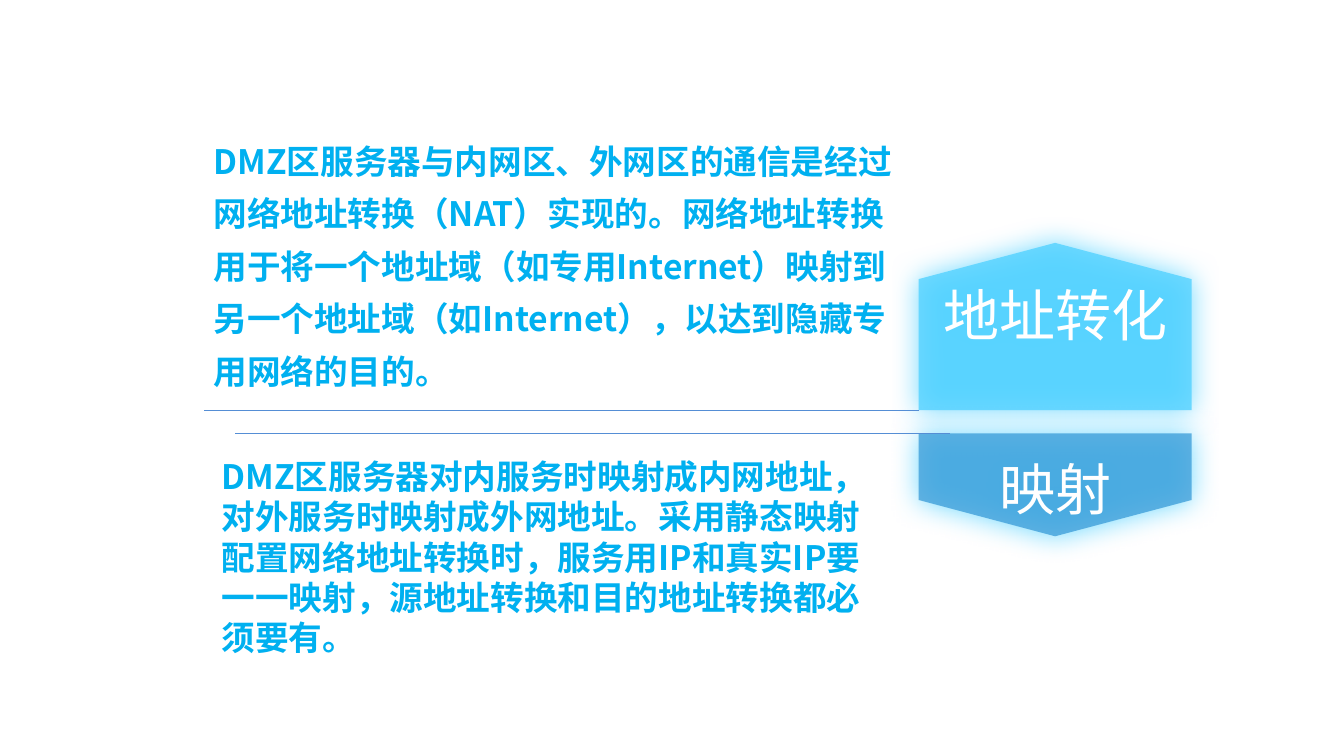
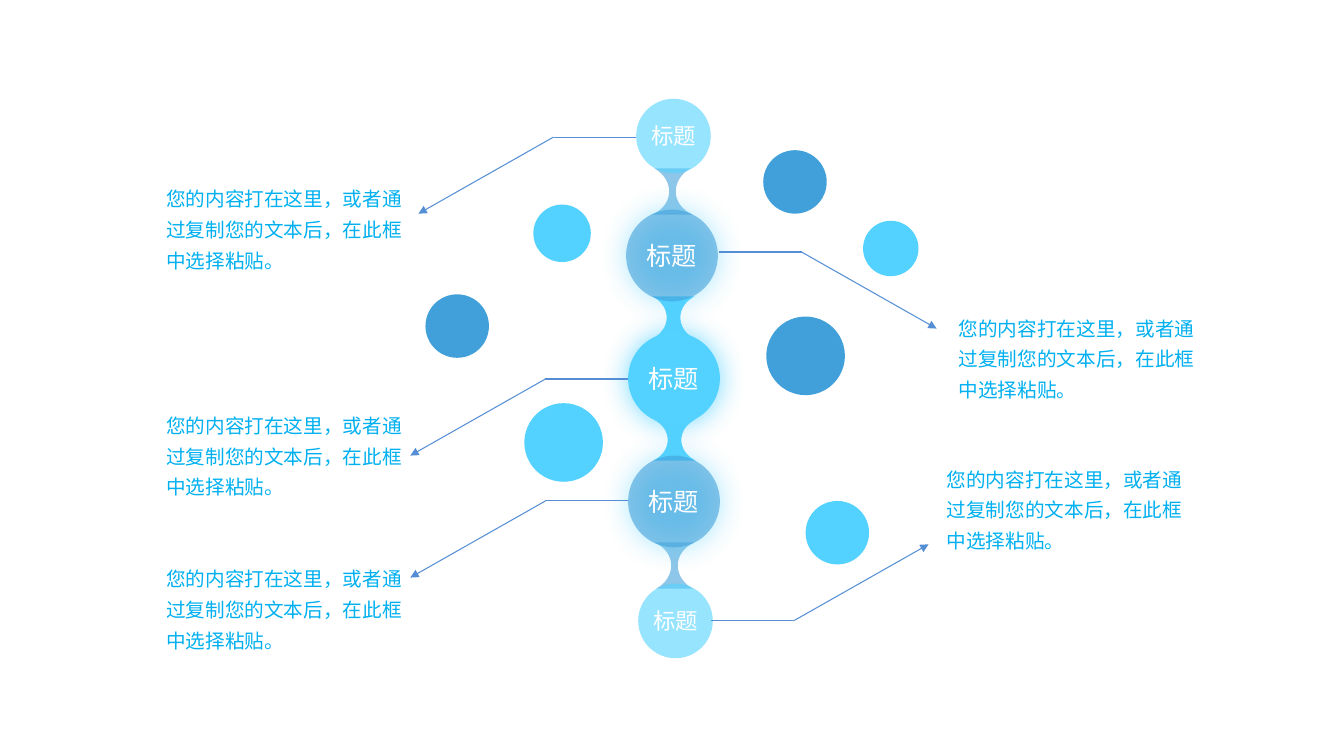
import pptx
import pptx.dml.color
import pptx.enum.lang
import pptx.enum.shapes
import pptx.enum.text
import pptx.oxml
import pptx.oxml.ns
import pptx.util
from dataclasses import dataclass

EMU_PER_PX = 9144
PAGE_SIZE = (1333, 750)


@dataclass(frozen=True)
class Theme:
    font: str = "Noto Sans CJK SC"
    light: str = "53D2FF"
    dark: str = "41A0DA"
    ink: str = "00B0F0"
    white: str = "FFFFFF"
    rule: str = "558ED5"
    rule_pt: float = 0.75
    glow_pt: int = 20
    glow_alpha: int = 80
    wedge_alpha: int = 80
    bead_alpha: int = 60
    wedge_size: int = 40
    wedge_line_pt: int = 15
    body_size: int = 24
    bead_size: int = 18
    end_bead_size: int = 16
    note_size: int = 14
    spacing: float = 1.3


THEME = Theme()
TOP = pptx.enum.text.MSO_ANCHOR.TOP
MIDDLE = pptx.enum.text.MSO_ANCHOR.MIDDLE

# Content, slide 1: text, box, line spacing, anchor
EXPLANATIONS = [
    ("DMZ区服务器与内网区、外网区的通信是经过网络地址转换（NAT）实现的。"
     "网络地址转换用于将一个地址域（如专用Internet）映射到另一个地址域"
     "（如Internet），以达到隐藏专用网络的目的。",
     (202, 123, 697, 270), THEME.spacing, TOP),
    ("DMZ区服务器对内服务时映射成内网地址，对外服务时映射成外网地址。"
     "采用静态映射配置网络地址转换时，服务用IP和真实IP要一一映射，"
     "源地址转换和目的地址转换都必须要有。",
     (210, 446, 665, 213), None, MIDDLE),
]
# Label, tint, flat edge y, shoulder y, tip y, text inset from the top
WEDGES = [
    ("地址转化", THEME.light, 407, 277, 241, 83),
    ("映射", THEME.dark, 430, 496, 532, 67),
]
WEDGE_LEFT, WEDGE_RIGHT = 911, 1182
RULES = [((911, 407), (202, 407)), ((942, 430), (233, 430))]

# Content, slide 2
BEAD_LABEL = "标题"
# Left, top, diameter, tint, alpha, type size, glow
BEADS = [
    (631, 98, 74, THEME.light, THEME.bead_alpha, THEME.end_bead_size, False),
    (621, 208, 91, THEME.dark, THEME.bead_alpha, THEME.bead_size, True),
    (623, 330, 91, THEME.light, None, THEME.bead_size, True),
    (623, 452, 91, THEME.dark, THEME.bead_alpha, THEME.bead_size, True),
    (633, 579, 74, THEME.light, THEME.bead_alpha, THEME.end_bead_size, False),
]
# Half width at the end of a neck, and of its control point
WIDE, TAPER, NARROW = (21, 2), (20, -3), (18, -1)
# Centre x, top, bottom, top end, bottom end, tint, alpha
NECKS = [
    (667, 167, 213, NARROW, TAPER, THEME.dark, THEME.bead_alpha),
    (668, 294, 336, WIDE, WIDE, THEME.light, None),
    (669, 416, 457, WIDE, WIDE, THEME.light, None),
    (669, 538, 584, TAPER, NARROW, THEME.dark, THEME.bead_alpha),
]
NECK_BEND = 0.23
# Left, top, diameter, tint
BUBBLES = [
    (760, 314, 78, THEME.dark),
    (520, 400, 78, THEME.light),
    (799, 497, 63, THEME.light),
    (529, 203, 57, THEME.light),
    (757, 149, 63, THEME.dark),
    (422, 292, 63, THEME.dark),
    (856, 219, 55, THEME.light),
]
# Start x, start y, direction across, direction down
LEADERS = [
    (623, 376, -1, 1),
    (713, 250, 1, 1),
    (623, 497, -1, 1),
    (705, 616, 1, -1),
    (631, 136, -1, 1),
]
LEADER_FLAT, LEADER_RUN, LEADER_DROP = 82, 134, 76
NOTE = "您的内容打在这里，或者通过复制您的文本后，在此框中选择粘贴。"
NOTE_SIZE = (267, 102)
NOTE_CORNERS = [(941, 302), (929, 452), (155, 551), (155, 399), (155, 174)]


# Shared drawing helpers
def px(length):
    return pptx.util.Emu(round(length * EMU_PER_PX))


def rgb(value):
    return pptx.dml.color.RGBColor.from_string(value)


def child(parent, tag, **attributes):
    element = pptx.oxml.parse_xml(f"<{tag} {pptx.oxml.ns.nsdecls('a')}/>")
    for name, value in attributes.items():
        element.set(name, str(value))
    parent.append(element)
    return element


def paint(shape, tint, alpha=None, glow=False):
    shape.fill.solid()
    shape.fill.fore_color.rgb = rgb(tint)
    shape.line.fill.background()
    shape.shadow.inherit = False
    properties = shape.element.spPr
    if alpha:
        color = properties.find(pptx.oxml.ns.qn("a:solidFill"))[0]
        child(color, "a:alpha", val=alpha * 1000)
    if glow:
        effects = properties.find(pptx.oxml.ns.qn("a:effectLst"))
        shadow = child(effects, "a:outerShdw", blurRad=pptx.util.Pt(THEME.glow_pt),
                       dist=0, dir=0, algn="ctr", rotWithShape=0)
        color = child(shadow, "a:srgbClr", val=THEME.light)
        child(color, "a:alpha", val=THEME.glow_alpha * 1000)


def write(shape, text, size, color, bold=False, spacing=None, anchor=TOP, centred=False):
    frame = shape.text_frame
    frame.word_wrap = True
    frame.vertical_anchor = anchor
    para = frame.paragraphs[0]
    align = pptx.enum.text.PP_ALIGN
    para.alignment = align.CENTER if centred else align.LEFT
    if spacing:
        para.line_spacing = spacing
    span = para.add_run()
    span.text = text
    span.font.size = pptx.util.Pt(size)
    span.font.bold = bold
    span.font.color.rgb = rgb(color)
    span.font.name = THEME.font
    span.font.language_id = pptx.enum.lang.MSO_LANGUAGE_ID.SIMPLIFIED_CHINESE
    child(span.font._element, "a:ea", typeface=THEME.font)
    return frame


def add_text(page, bounds, text, size, **style):
    box = page.shapes.add_textbox(*map(px, bounds))
    frame = write(box, text, size, THEME.ink, **style)
    frame.auto_size = pptx.enum.text.MSO_AUTO_SIZE.SHAPE_TO_FIT_TEXT


def add_line(shapes, start, end, arrow=False):
    connector = shapes.add_connector(pptx.enum.shapes.MSO_CONNECTOR.STRAIGHT,
                                     *map(px, (*start, *end)))
    connector.line.color.rgb = rgb(THEME.rule)
    connector.line.width = pptx.util.Pt(THEME.rule_pt)
    properties = connector._element.spPr
    if arrow:
        child(properties.find(pptx.oxml.ns.qn("a:ln")), "a:tailEnd", type="triangle")
    child(properties, "a:effectLst")


def add_outline(page, points):
    first, *rest = [(px(x), px(y)) for x, y in points]
    builder = page.shapes.build_freeform(*first, scale=1.0)
    builder.add_line_segments(rest, close=True)
    return builder.convert_to_shape()


def add_circle(page, left, top, diameter, tint, alpha=None, glow=False):
    circle = page.shapes.add_shape(pptx.enum.shapes.MSO_SHAPE.OVAL,
                                   *map(px, (left, top, diameter, diameter)))
    paint(circle, tint, alpha, glow)
    return circle


def add_neck(page, centre, top, bottom, top_end, bottom_end):
    """A four-cornered outline whose two sides are bent into cubic curves."""
    (top_half, top_pull), (bottom_half, bottom_pull) = top_end, bottom_end
    neck = add_outline(page, [(centre + top_half, top), (centre + bottom_half, bottom),
                              (centre - bottom_half, bottom), (centre - top_half, top)])
    bend = NECK_BEND * (bottom - top)
    upper, lower = (top_pull, top + bend), (bottom_pull, bottom - bend)
    edges = list(neck.element.spPr.iter(pptx.oxml.ns.qn("a:lnTo")))
    for edge, side, pulls in ((edges[0], 1, (upper, lower)), (edges[2], -1, (lower, upper))):
        edge.tag = pptx.oxml.ns.qn("a:cubicBezTo")
        for position, (pull, y) in enumerate(pulls):
            point = child(edge, "a:pt", x=px(centre + side * pull) - neck.left,
                          y=px(y) - neck.top)
            edge.insert(position, point)
    return neck


# Slides
def build_translation(page):
    middle = (WEDGE_LEFT + WEDGE_RIGHT) / 2
    for label, tint, flat, shoulder, tip, inset in WEDGES:
        wedge = add_outline(page, [(WEDGE_LEFT, flat), (WEDGE_LEFT, shoulder), (middle, tip),
                                   (WEDGE_RIGHT, shoulder), (WEDGE_RIGHT, flat)])
        paint(wedge, tint, THEME.wedge_alpha, glow=True)
        frame = write(wedge, label, THEME.wedge_size, THEME.white,
                      spacing=pptx.util.Pt(THEME.wedge_line_pt), centred=True)
        frame.margin_top = px(inset)
    for start, end in RULES:
        add_line(page.shapes, start, end)
    for text, bounds, spacing, anchor in EXPLANATIONS:
        add_text(page, bounds, text, THEME.body_size, bold=True, spacing=spacing, anchor=anchor)


def build_chain(page):
    for *geometry, tint, alpha in NECKS:
        paint(add_neck(page, *geometry), tint, alpha)
    for left, top, diameter, tint, alpha, size, glow in BEADS:
        bead = add_circle(page, left, top, diameter, tint, alpha, glow)
        frame = write(bead, BEAD_LABEL, size, THEME.white, anchor=MIDDLE, centred=True)
        frame.margin_left = frame.margin_right = 0
    for bubble in BUBBLES:
        add_circle(page, *bubble)
    for x, y, across, down in LEADERS:
        leader = page.shapes.add_group_shape()
        elbow = (x + across * LEADER_FLAT, y)
        tip = (elbow[0] + across * LEADER_RUN, y + down * LEADER_DROP)
        add_line(leader.shapes, (x, y), elbow)
        add_line(leader.shapes, elbow, tip, arrow=True)
    for corner in NOTE_CORNERS:
        add_text(page, (*corner, *NOTE_SIZE), NOTE, THEME.note_size, spacing=THEME.spacing)


def main():
    deck = pptx.Presentation()
    deck.slide_width, deck.slide_height = map(px, PAGE_SIZE)
    for build in (build_translation, build_chain):
        build(deck.slides.add_slide(deck.slide_layouts[6]))
    deck.save("out.pptx")


if __name__ == "__main__":
    main()
